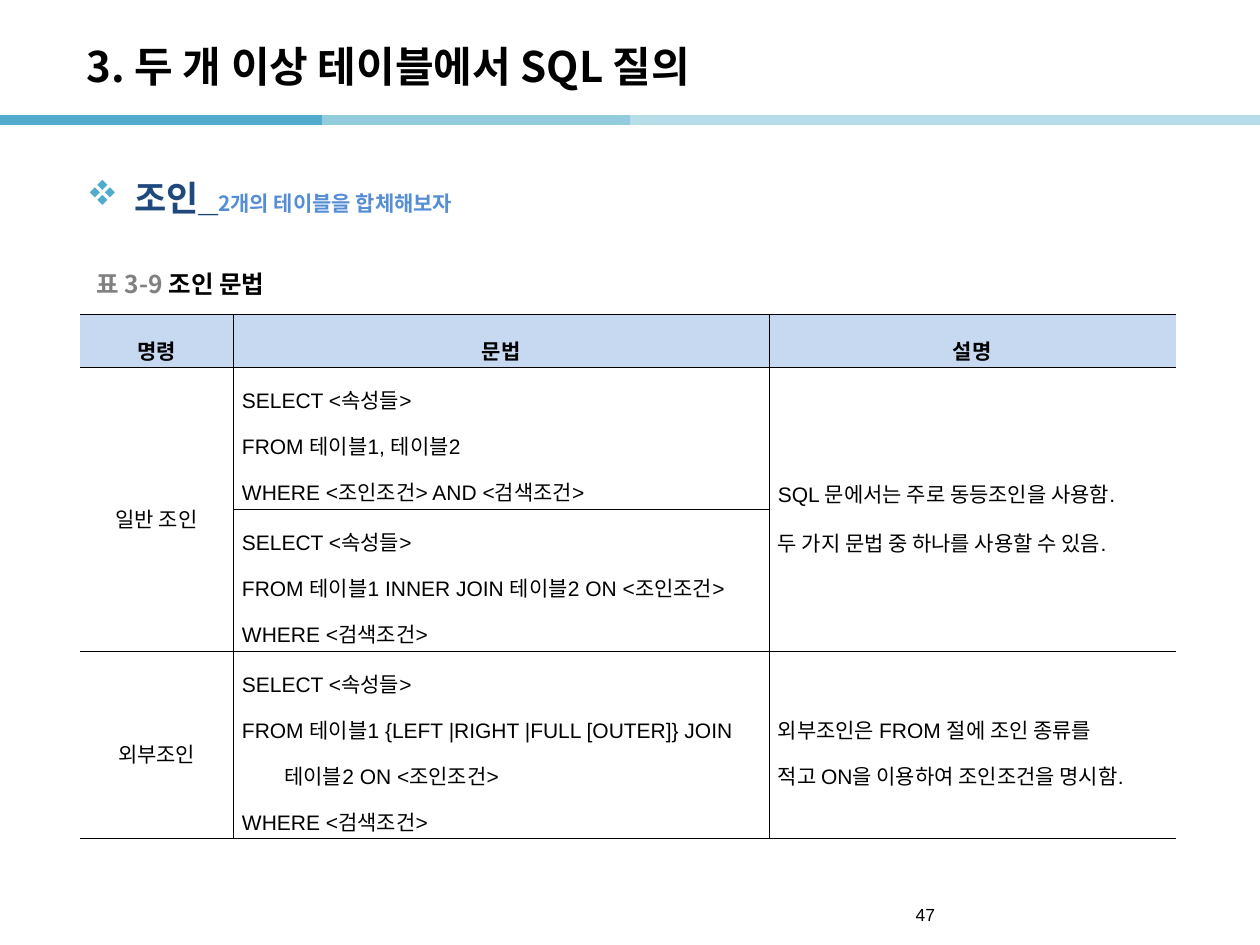
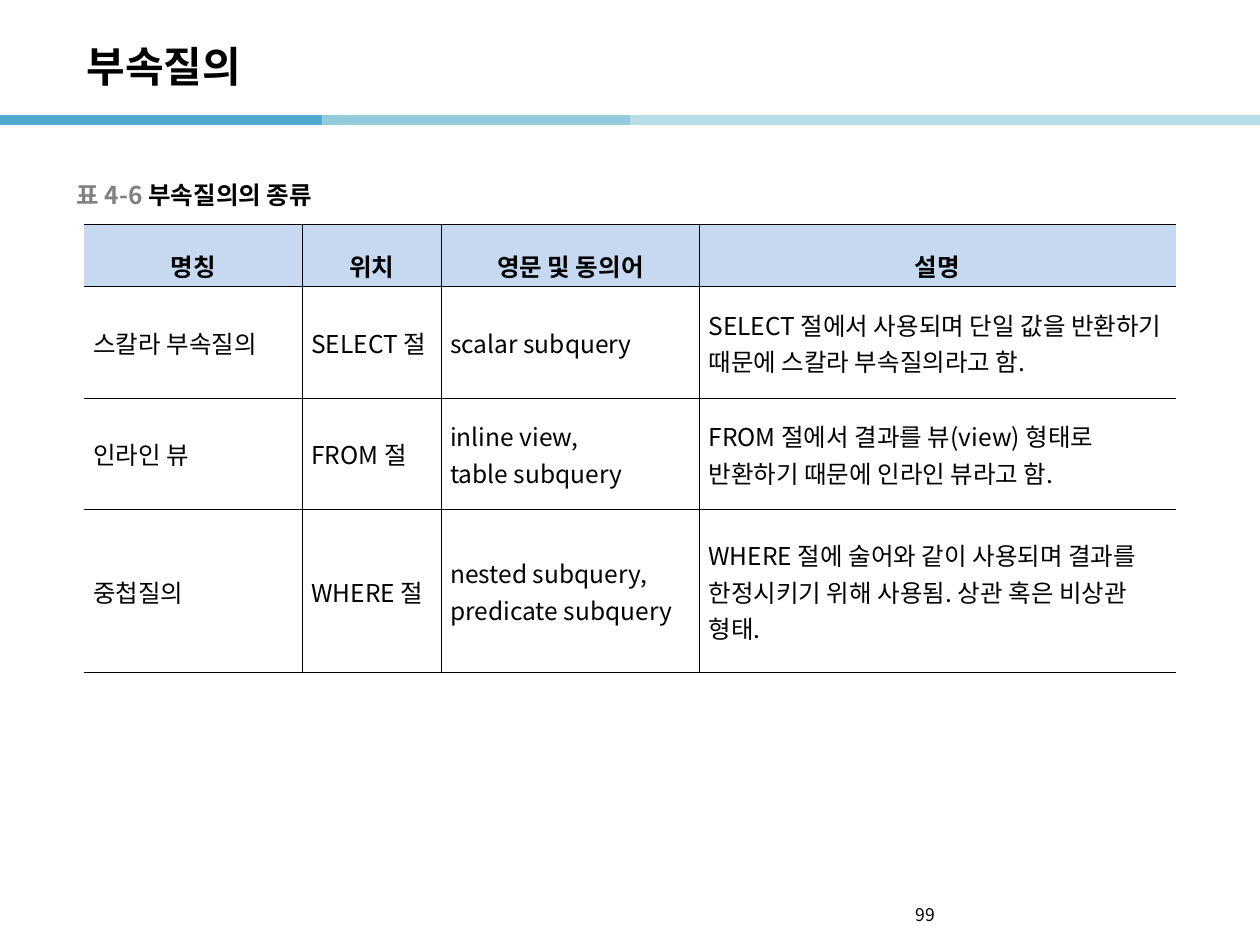
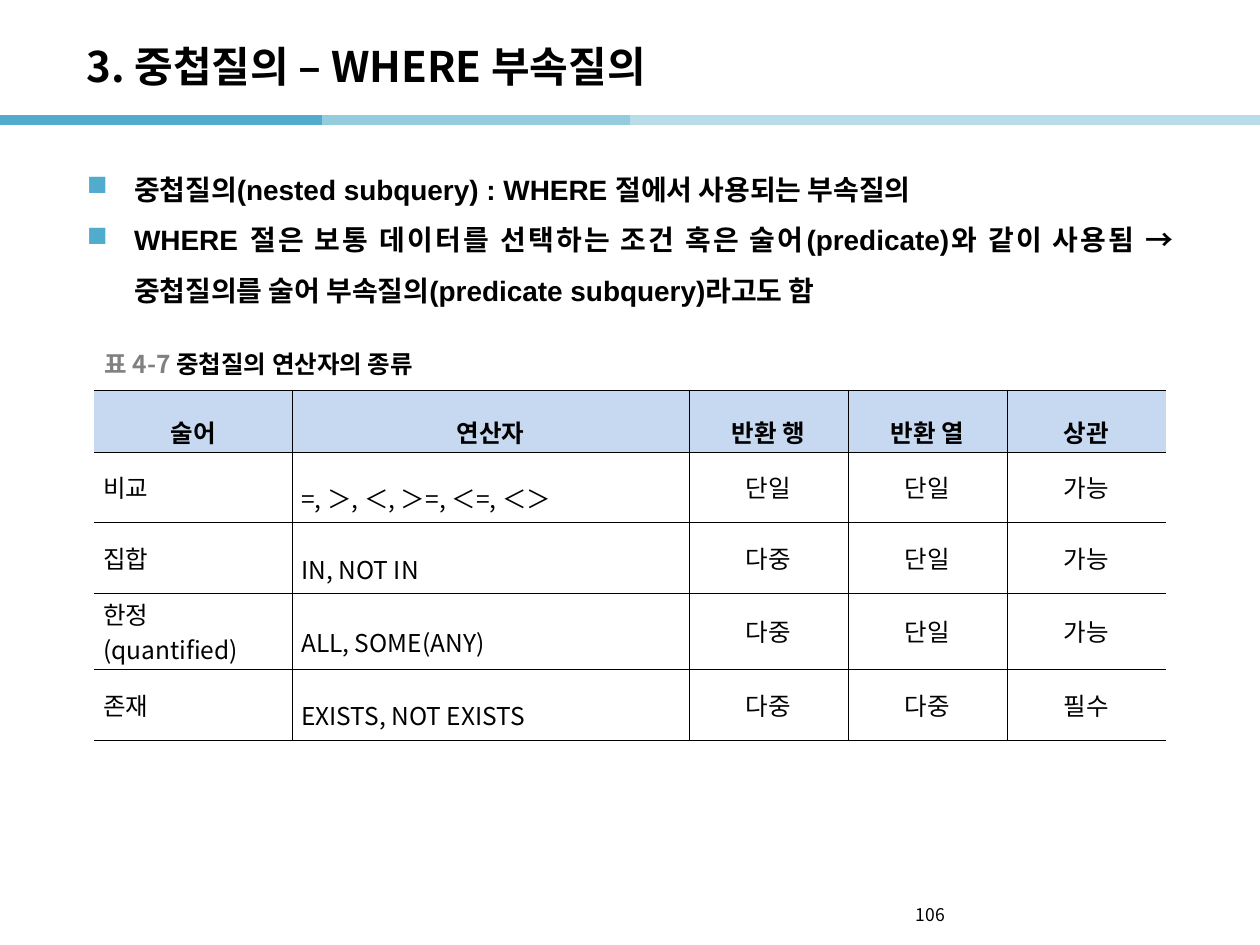
from lxml import etree
from pptx import Presentation
from pptx.dml.color import RGBColor
from pptx.enum.shapes import MSO_CONNECTOR
from pptx.enum.text import MSO_ANCHOR, PP_ALIGN
from pptx.oxml.ns import qn
from pptx.util import Pt

LEFT, CENTER, JUSTIFY = PP_ALIGN.LEFT, PP_ALIGN.CENTER, PP_ALIGN.JUSTIFY
MIDDLE, TOP = MSO_ANCHOR.MIDDLE, MSO_ANCHOR.TOP
STRAIGHT = MSO_CONNECTOR.STRAIGHT

KOREAN = "Noto Sans CJK KR"
ARIAL = "Arial"
SYMBOLS = "Wingdings"
DIAMONDS, SQUARE = "v", "n"
BLACK = RGBColor(0x00, 0x00, 0x00)
GRAY = RGBColor(0x80, 0x80, 0x80)
NAVY = RGBColor(0x1F, 0x49, 0x7D)
BLUE = RGBColor(0x55, 0x8E, 0xD5)
HEADER_FILL = RGBColor(0xC6, 0xD9, 0xF1)
TEAL = RGBColor(0x50, 0xAB, 0xCC)
MID_TEAL = RGBColor(0x93, 0xCD, 0xDD)
PALE_TEAL = RGBColor(0xB7, 0xDE, 0xE8)

BAND_Y = 68.6
BANDS = [(0, 184.3, TEAL), (184.3, 360, MID_TEAL), (360, 720, PALE_TEAL)]
BORDER = 0.28
HEADER_STYLE = (CENTER, 1.6)


def format_run(r, size, font=KOREAN, color=BLACK, bold=False):
    r.font.size = Pt(size)
    r.font.name = font
    r.font.bold = bold
    r.font.color.rgb = color


def format_paragraphs(tf, align, spacing):
    for p in tf.paragraphs:
        p.alignment = align
        p.line_spacing = spacing


def add_text(slide, x, y, w, h, pieces, anchor=TOP):
    """Add one paragraph made of (text, size, font, color, bold) pieces."""
    tf = slide.shapes.add_textbox(Pt(x), Pt(y), Pt(w), Pt(h)).text_frame
    tf.word_wrap = True
    tf.vertical_anchor = anchor
    for text, *style in pieces:
        r = tf.paragraphs[0].add_run()
        r.text = text
        format_run(r, *style)
    return tf


def add_bullet(p, char):
    pPr = p._p.get_or_add_pPr()
    pPr.set("marL", str(Pt(27)))
    pPr.set("indent", str(-Pt(27)))
    color = etree.SubElement(pPr, qn("a:buClr"))
    etree.SubElement(color, qn("a:srgbClr")).set("val", str(TEAL))
    font = etree.SubElement(pPr, qn("a:buFont"))
    font.set("typeface", SYMBOLS)
    font.set("charset", "2")
    etree.SubElement(pPr, qn("a:buChar")).set("char", char)


def add_band(slide, x1, x2, color):
    line = slide.shapes.add_connector(STRAIGHT, Pt(x1), Pt(BAND_Y), Pt(x2), Pt(BAND_Y))
    line.line.color.rgb = color
    line.line.width = Pt(6)
    etree.SubElement(line._element.spPr, qn("a:effectLst"))


def add_slide(prs, title, number, number_font=KOREAN):
    slide = prs.slides.add_slide(prs.slide_layouts[6])
    for band in BANDS:
        add_band(slide, *band)
    add_text(slide, 42.5, 15.8, 595.5, 43.2, [(title, 24, KOREAN, BLACK, True)], MIDDLE)
    add_text(slide, 516.2, 513, 167.8, 20, [(number, 10, number_font)])
    return slide


def add_caption(slide, x, y, label, text):
    add_text(slide, x, y, 210, 22.3,
             [(label + " ", 14, KOREAN, GRAY, True), (text, 14, KOREAN, BLACK, True)],
             MIDDLE)


def set_borders(cell, first, last):
    """Rule every side of a cell except the outer left and right of the table."""
    sides = [("lnL", not first), ("lnR", not last), ("lnT", True), ("lnB", True)]
    tcPr = cell._tc.get_or_add_tcPr()
    for i, (side, shown) in enumerate(sides):
        ln = etree.Element(qn("a:" + side), w=str(Pt(BORDER)))
        fill = etree.SubElement(ln, qn("a:solidFill" if shown else "a:noFill"))
        if shown:
            etree.SubElement(fill, qn("a:srgbClr")).set("val", str(BLACK))
        tcPr.insert(i, ln)


def add_grid(slide, x, y, widths, heights, rows, styles, size, font=KOREAN):
    """Add a table; styles holds (alignment, line spacing) for each body column."""
    tbl = slide.shapes.add_table(len(rows), len(widths), Pt(x), Pt(y),
                                 Pt(sum(widths)), Pt(sum(heights))).table
    tbl.first_row = tbl.horz_banding = False
    for column, width in zip(tbl.columns, widths):
        column.width = Pt(width)
    for i, (row, height) in enumerate(zip(rows, heights)):
        tbl.rows[i].height = Pt(height)
        header = i == 0
        for j, text in enumerate(row):
            cell = tbl.cell(i, j)
            cell.margin_left = cell.margin_right = Pt(5.1)
            cell.margin_top = cell.margin_bottom = Pt(1.4)
            cell.vertical_anchor = MIDDLE
            if header:
                cell.fill.solid()
                cell.fill.fore_color.rgb = HEADER_FILL
            else:
                cell.fill.background()
            set_borders(cell, j == 0, j == len(row) - 1)
            cell.text_frame.text = text
            format_paragraphs(cell.text_frame, *(HEADER_STYLE if header else styles[j]))
            for p in cell.text_frame.paragraphs:
                for r in p.runs:
                    format_run(r, size, font, bold=header)
    return tbl


def join_slide(prs):
    slide = add_slide(prs, "3. 두 개 이상 테이블에서 SQL 질의", "47", ARIAL)
    rows = [
        ["명령", "문법", "설명"],
        ["일반 조인",
         "SELECT <속성들>\nFROM 테이블1, 테이블2\nWHERE <조인조건> AND <검색조건>",
         "SQL 문에서는 주로 동등조인을 사용함.\n두 가지 문법 중 하나를 사용할 수 있음."],
        ["",
         "SELECT <속성들>\nFROM 테이블1 INNER JOIN 테이블2 ON <조인조건>\nWHERE <검색조건>",
         ""],
        ["외부조인",
         "SELECT <속성들>\nFROM 테이블1 {LEFT |RIGHT |FULL [OUTER]} JOIN\n"
         "         테이블2 ON <조인조건>\nWHERE <검색조건>",
         "외부조인은 FROM 절에 조인 종류를 \v적고 ON을 이용하여 조인조건을 명시함."],
    ]
    tbl = add_grid(slide, 45.8, 179.4, [87.4, 306.2, 232.4], [30.3, 81.1, 81.1, 107.4], rows,
                   [(CENTER, 1.6), (LEFT, 1.5), (JUSTIFY, 1.6)], 12, ARIAL)
    for j in (0, 2):
        tbl.cell(1, j).merge(tbl.cell(2, j))
    format_paragraphs(tbl.cell(3, 2).text_frame, LEFT, 1.5)
    add_caption(slide, 48.2, 151.2, "표 3-9", "조인 문법")
    tf = add_text(slide, 42.5, 85.4, 635, 47.5,
                  [("조인_", 20, ARIAL, NAVY, True),
                   ("2개의 테이블을 합체해보자", 12, KOREAN, BLUE, True)])
    add_bullet(tf.paragraphs[0], DIAMONDS)
    format_paragraphs(tf, LEFT, 1.5)


def subquery_slide(prs):
    slide = add_slide(prs, "부속질의", "99")
    rows = [
        ["명칭", "위치", "영문 및 동의어", "설명"],
        ["스칼라 부속질의", "SELECT 절", "scalar subquery",
         "SELECT 절에서 사용되며 단일 값을 반환하기 때문에 스칼라 부속질의라고 함."],
        ["인라인 뷰", "FROM 절", "inline view,\ntable subquery",
         "FROM 절에서 결과를 뷰(view) 형태로 반환하기 때문에 인라인 뷰라고 함."],
        ["중첩질의", "WHERE 절", "nested subquery,\npredicate subquery",
         "WHERE 절에 술어와 같이 사용되며 결과를 한정시키기 위해 사용됨. "
         "상관 혹은 비상관 형태."],
    ]
    add_grid(slide, 48.2, 128.2, [124.6, 79.4, 147.6, 272], [35.5, 63.7, 63.7, 93], rows,
             [(LEFT, Pt(21))] * 4, 14)
    add_caption(slide, 36.7, 100, "표 4-6", "부속질의의 종류")


def nested_query_slide(prs):
    slide = add_slide(prs, "3. 중첩질의 – WHERE 부속질의", "106")
    tf = slide.shapes.add_textbox(Pt(42.5), Pt(85.4), Pt(635), Pt(430.6)).text_frame
    tf.word_wrap = True
    tf.text = ("중첩질의(nested subquery) : WHERE 절에서 사용되는 부속질의\n"
               "WHERE 절은 보통 데이터를 선택하는 조건 혹은 술어(predicate)와 같이 사용됨 → "
               "중첩질의를 술어 부속질의(predicate subquery)라고도 함")
    for p in tf.paragraphs:
        add_bullet(p, SQUARE)
        format_run(p.runs[0], 16, ARIAL, BLACK, True)
    format_paragraphs(tf, JUSTIFY, 1.5)
    rows = [
        ["술어", "연산자", "반환 행", "반환 열", "상관"],
        ["비교", "=, ＞, ＜, ＞=, ＜=, ＜＞", "단일", "단일", "가능"],
        ["집합", "IN, NOT IN", "다중", "단일", "가능"],
        ["한정(quantified)", "ALL, SOME(ANY)", "다중", "단일", "가능"],
        ["존재", "EXISTS, NOT EXISTS", "다중", "다중", "필수"],
    ]
    add_grid(slide, 53.8, 222.8, [113.2, 226.8] + [90.8] * 3,
             [35.4, 40.4, 40.4, 43.4, 40.4], rows,
             [(LEFT, 1), (LEFT, 1.6)] + [(CENTER, 1)] * 3, 14)
    add_caption(slide, 52.6, 196.6, "표 4-7", "중첩질의 연산자의 종류")


def main():
    prs = Presentation()
    prs.slide_width, prs.slide_height = Pt(720), Pt(540)
    join_slide(prs)
    subquery_slide(prs)
    nested_query_slide(prs)
    prs.save("out.pptx")


if __name__ == "__main__":
    main()
